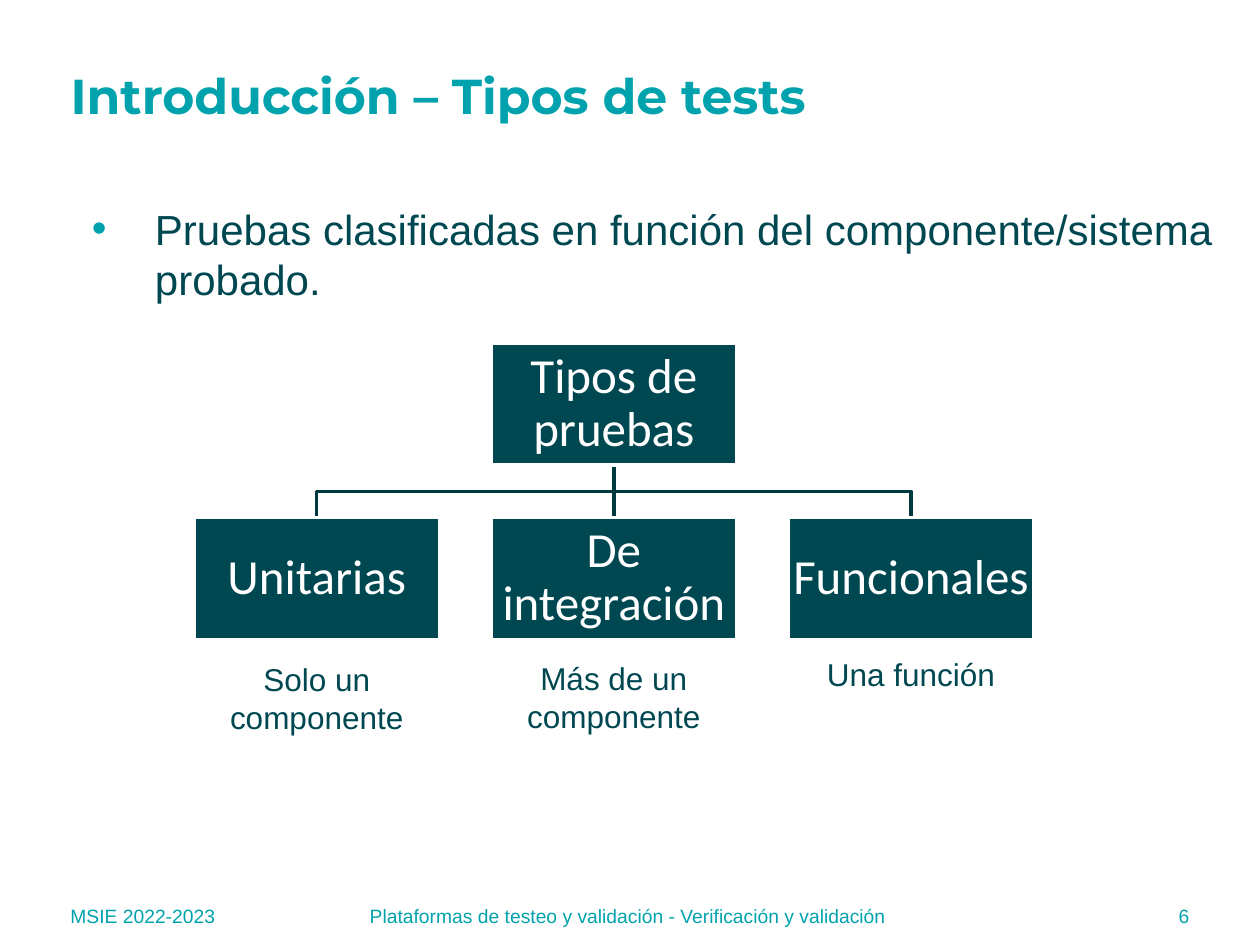
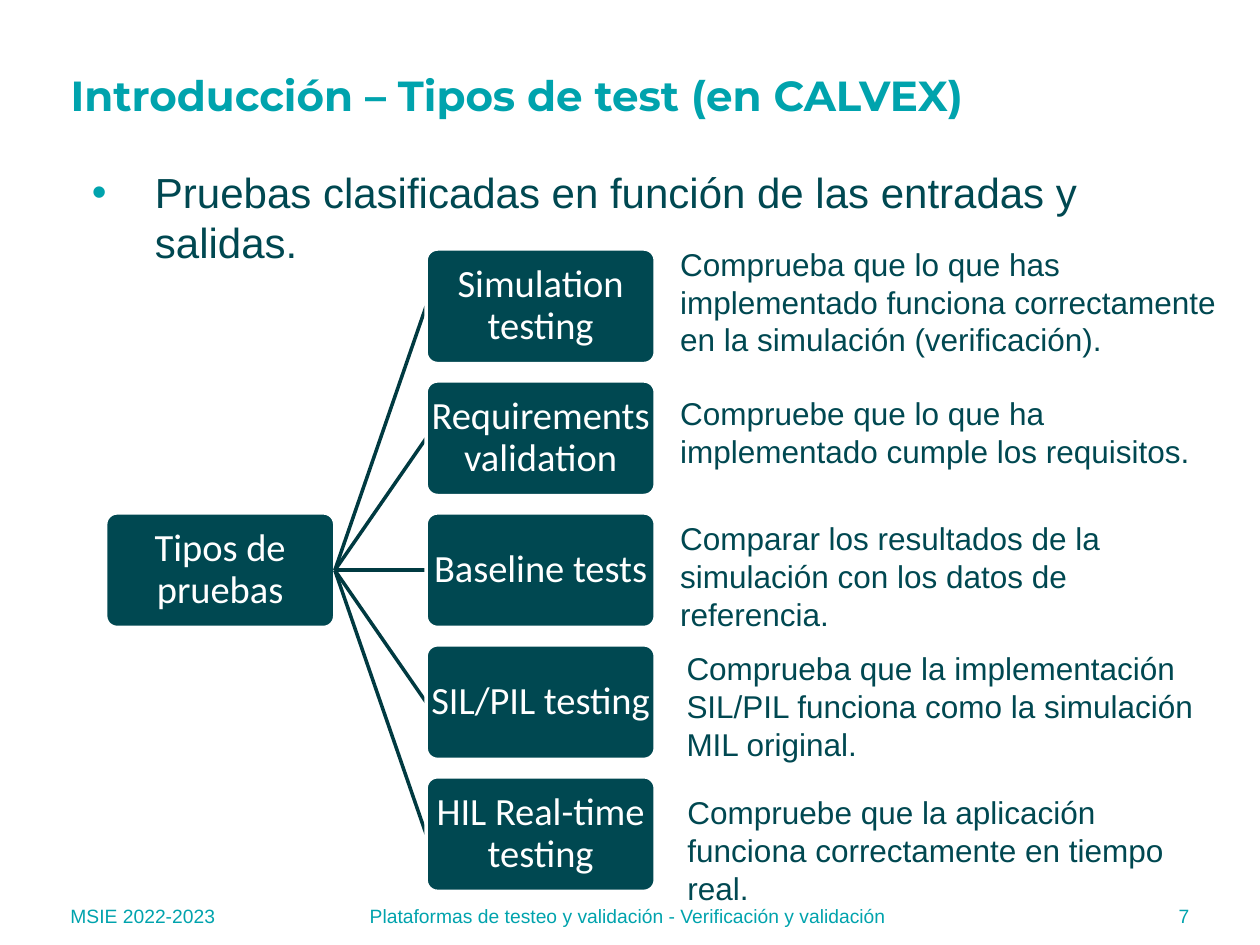
from dataclasses import dataclass

from lxml.etree import SubElement
from pptx import Presentation
from pptx.dml.color import RGBColor
from pptx.enum.shapes import MSO_CONNECTOR, MSO_SHAPE
from pptx.enum.text import MSO_ANCHOR, MSO_AUTO_SIZE, PP_ALIGN
from pptx.oxml.ns import qn
from pptx.util import Cm, Pt

TOP, LEFT, BOTTOM, RIGHT = range(4)


@dataclass(frozen=True)
class Theme:
    accent: RGBColor = RGBColor(0x00, 0xA3, 0xAD)
    dark: RGBColor = RGBColor(0x00, 0x48, 0x51)
    link: RGBColor = RGBColor(0x00, 0x3A, 0x41)
    white: RGBColor = RGBColor(0xFF, 0xFF, 0xFF)
    title_font: str = "Montserrat"
    body_font: str = "Arial"
    box_font: str = "Calibri"
    title_size: int = 28
    long_title_size: int = 24
    body_size: int = 24
    large_box_size: int = 28
    small_box_size: int = 22
    caption_size: int = 18
    footer_size: int = 11
    line_width: int = 2


THEME = Theme()
COURSE = "MSIE 2022-2023"
SUBJECT = "Plataformas de testeo y validación - Verificación y validación"


def place(item, left, top, width, height):
    """Move and size a placeholder; lengths in centimetres."""
    item.left, item.top = Cm(left), Cm(top)
    item.width, item.height = Cm(width), Cm(height)


def write(item, text, font, size, color, align=PP_ALIGN.LEFT,
          anchor=MSO_ANCHOR.TOP, bold=False):
    """Set a one-paragraph text with its format and return the paragraph."""
    frame = item.text_frame
    frame.text = text
    frame.word_wrap = True
    frame.auto_size = MSO_AUTO_SIZE.NONE
    frame.vertical_anchor = anchor
    paragraph = frame.paragraphs[0]
    paragraph.alignment = align
    for run in paragraph.runs:
        run.font.name = font
        run.font.size = Pt(size)
        run.font.bold = bold
        run.font.color.rgb = color
    return paragraph


def add_bullet(paragraph):
    properties = paragraph._p.get_or_add_pPr()
    properties.set("marL", str(Cm(1.27)))
    properties.set("indent", str(-Cm(1.27)))
    color = SubElement(properties, qn("a:buClr"))
    SubElement(color, qn("a:srgbClr"), val=str(THEME.accent))
    SubElement(properties, qn("a:buFont"), typeface=THEME.body_font)
    SubElement(properties, qn("a:buChar"), char="•")


def add_footer(slide, number):
    parts = (
        (COURSE, 1.17, 3.61, PP_ALIGN.LEFT),
        (SUBJECT, 6.03, 13.26, PP_ALIGN.CENTER),
        (str(number), 21.13, 3.1, PP_ALIGN.RIGHT),
    )
    for text, left, width, align in parts:
        part = slide.shapes.add_textbox(Cm(left), Cm(17.96), Cm(width), Cm(1.02))
        write(part, text, THEME.body_font, THEME.footer_size, THEME.accent,
              align, MSO_ANCHOR.MIDDLE)


def add_content_slide(deck, number, title, title_size, point, point_top, point_width):
    slide = deck.slides.add_slide(deck.slide_layouts[1])
    heading, body = slide.shapes.title, slide.placeholders[1]
    place(heading, 1.17, 1.32, 21.29, 1.19)
    write(heading, title, THEME.title_font, title_size, THEME.accent,
          anchor=MSO_ANCHOR.MIDDLE, bold=True)
    place(body, 1.6, point_top, point_width, 13.36)
    add_bullet(write(body, point, THEME.body_font, THEME.body_size, THEME.dark))
    add_footer(slide, number)
    return slide


def add_box(slide, preset, text, size, left, top, width, height):
    box = slide.shapes.add_shape(preset, Cm(left), Cm(top), Cm(width), Cm(height))
    if preset == MSO_SHAPE.ROUNDED_RECTANGLE:
        box.adjustments[0] = 0.1
    box.shadow.inherit = False
    box.fill.solid()
    box.fill.fore_color.rgb = THEME.dark
    box.line.color.rgb = THEME.white
    box.line.width = Pt(THEME.line_width)
    paragraph = write(box, text, THEME.box_font, size, THEME.white,
                      PP_ALIGN.CENTER, MSO_ANCHOR.MIDDLE)
    paragraph.line_spacing = 0.9
    frame = box.text_frame
    frame.margin_left = frame.margin_right = 0
    frame.margin_top = frame.margin_bottom = Cm(0.05)
    return box


def add_caption(slide, text, left, top, width, height, align=PP_ALIGN.LEFT):
    caption = slide.shapes.add_textbox(Cm(left), Cm(top), Cm(width), Cm(height))
    write(caption, text, THEME.body_font, THEME.caption_size, THEME.dark, align)


def style_link(link, child):
    """Give a link its line and put it just behind the child box."""
    link.line.color.rgb = THEME.link
    link.line.width = Pt(THEME.line_width)
    child.element.addprevious(link.element)


def add_straight_link(slide, parent, parent_side, child, child_side):
    link = slide.shapes.add_connector(MSO_CONNECTOR.STRAIGHT, 0, 0, 0, 0)
    link.begin_connect(parent, parent_side)
    link.end_connect(child, child_side)
    SubElement(link.element.spPr, qn("a:effectLst"))
    style_link(link, child)


def add_elbow_link(slide, parent, child):
    """Draw a bent line from the parent's bottom to the child's top."""
    start_x = parent.left + parent.width // 2
    start_y = parent.top + parent.height
    end_x = child.left + child.width // 2
    bend_y = (start_y + child.top) // 2
    outline = slide.shapes.build_freeform(start_x, start_y)
    outline.add_line_segments(
        [(start_x, bend_y), (end_x, bend_y), (end_x, child.top)], close=False)
    link = outline.convert_to_shape()
    link.fill.background()
    link.shadow.inherit = False
    style_link(link, child)


def build_component_slide(deck):
    slide = add_content_slide(
        deck, 6, "Introducción – Tipos de tests", THEME.title_size,
        "Pruebas clasificadas en función del componente/sistema probado.", 3.97, 23.42)
    width, height, first_left, step = 4.95, 2.46, 3.91, 5.99
    kinds = (
        ("Unitarias", "Solo un componente", 13.18),
        ("De integración", "Más de un componente", 13.16),
        ("Funcionales", "Una función", 13.08),
    )
    children = []
    for column, (kind, scope, scope_top) in enumerate(kinds):
        left = first_left + column * step
        children.append(add_box(slide, MSO_SHAPE.RECTANGLE, kind, THEME.large_box_size,
                                left, 10.43, width, height))
        add_caption(slide, scope, left + 0.33, scope_top, 4.29, 1.8, PP_ALIGN.CENTER)
    parent = add_box(slide, MSO_SHAPE.RECTANGLE, "Tipos de pruebas",
                     THEME.large_box_size, first_left + step, 6.92, width, height)
    unit, integration, functional = children
    add_elbow_link(slide, parent, unit)
    add_straight_link(slide, parent, BOTTOM, integration, TOP)
    add_elbow_link(slide, parent, functional)


def build_input_output_slide(deck):
    slide = add_content_slide(
        deck, 7, "Introducción – Tipos de test (en CALVEX)", THEME.long_title_size,
        "Pruebas clasificadas en función de las entradas y salidas.", 3.23, 23.06)
    width, height, first_top, step = 4.62, 2.31, 5.02, 2.66
    tests = (
        ("Simulation testing",
         "Comprueba que lo que has implementado funciona correctamente "
         "en la simulación (verificación).", 13.46, 4.81, 11.68),
        ("Requirements validation",
         "Compruebe que lo que ha implementado cumple los requisitos.",
         13.46, 7.82, 11.05),
        ("Baseline tests",
         "Comparar los resultados de la simulación con los datos de referencia.",
         13.46, 10.34, 11.05),
        ("SIL/PIL testing",
         "Comprueba que la implementación SIL/PIL funciona como la simulación "
         "MIL original.", 13.59, 12.96, 11.05),
        ("HIL Real-time testing",
         "Compruebe que la aplicación funciona correctamente en tiempo real.",
         13.61, 15.86, 11.05),
    )
    middle_top = first_top + step * (len(tests) // 2)
    root = add_box(slide, MSO_SHAPE.ROUNDED_RECTANGLE, "Tipos de pruebas",
                   THEME.small_box_size, 2.13, middle_top, width, height)
    for row, (test, purpose, left, top, purpose_width) in enumerate(tests):
        box = add_box(slide, MSO_SHAPE.ROUNDED_RECTANGLE, test, THEME.small_box_size,
                      8.59, first_top + row * step, width, height)
        add_straight_link(slide, root, RIGHT, box, LEFT)
        add_caption(slide, purpose, left, top, purpose_width, 2.57)


def main():
    deck = Presentation()
    deck.slide_width, deck.slide_height = Cm(25.4), Cm(19.05)
    build_component_slide(deck)
    build_input_output_slide(deck)
    deck.save("out.pptx")


if __name__ == "__main__":
    main()
